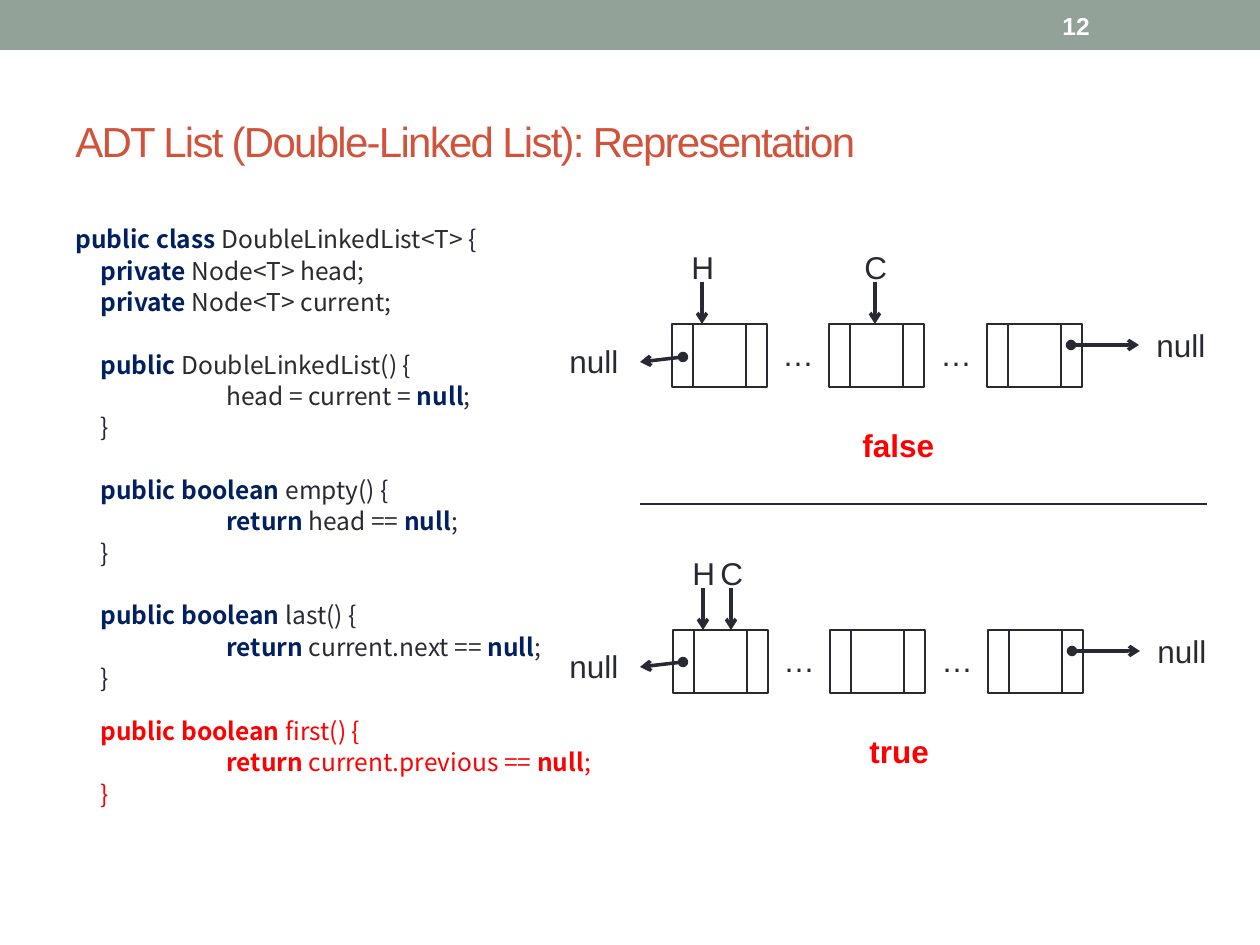
from lxml import etree
from pptx import Presentation
from pptx.dml.color import RGBColor
from pptx.enum.shapes import MSO_CONNECTOR, MSO_SHAPE
from pptx.enum.text import MSO_ANCHOR, MSO_AUTO_SIZE
from pptx.oxml.ns import qn
from pptx.util import Emu, Pt

RECTANGLE = MSO_SHAPE.RECTANGLE
STRAIGHT = MSO_CONNECTOR.STRAIGHT
TOP, MIDDLE = MSO_ANCHOR.TOP, MSO_ANCHOR.MIDDLE
FIT, NO_FIT = MSO_AUTO_SIZE.SHAPE_TO_FIT_TEXT, MSO_AUTO_SIZE.NONE

INK, NAVY, RED, WHITE = "292934", "002060", "FF0000", "FFFFFF"
BAND, RUST = "93A299", "D2533C"
SANS, CODE_FONT = "Arial", "Noto Sans CJK SC"

# Code blocks: gap before in points, keyword colour, plain colour, and lines
# of (indent level, spans); spans alternate plain, keyword, plain, ...
CODE = [
    (0, NAVY, INK, [
        (0, ["", "public class ", "DoubleLinkedList<T> {"]),
        (1, ["", "private", " Node<T> head;"]),
        (1, ["", "private", " Node<T> current;"])]),
    (20.7, NAVY, INK, [
        (1, ["", "public ", "DoubleLinkedList() {"]),
        (2, ["head = current = ", "null", ";"]),
        (1, ["}"])]),
    (20.7, NAVY, INK, [
        (1, ["", "public boolean", " empty() {"]),
        (2, ["", "return", " head == ", "null", ";"]),
        (1, ["}"])]),
    (20.7, NAVY, INK, [
        (1, ["", "public boolean", " last() {"]),
        (2, ["", "return ", "current.next == ", "null", ";"]),
        (1, ["}"])]),
    (15.1, RED, RED, [
        (1, ["", "public boolean", " first() {"]),
        (2, ["", "return ", "current.previous == ", "null", ";"]),
        (1, ["}"])]),
]
LEVEL_INDENTS = [0, 25, 151]
LINE_PITCH, LINE_GAP = 15.1, 2.8

# Lists: top left of the first node, y of the left null arrow,
# pointers (name, x from the first node), result (text, left, width)
LISTS = [
    (672, 324, 357, [("H", 30), ("C", 203)], ("false", 850, 98)),
    (673, 630, 662, [("H", 30), ("C", 58)], ("true", 857, 88)),
]
NODE_OFFSETS = [0, 157, 315]
LINK_WIDTH, DATA_WIDTH, NODE_HEIGHT = 21, 53, 63


def px(value):
    return Emu(round(value * 914400 / 126))


def color(hex_string):
    return RGBColor.from_string(hex_string)


def add_span(para, text, size, hex_string, bold=False, font=SANS):
    span = para.add_run()
    span.text = text
    span.font.name, span.font.size, span.font.bold = font, Pt(size), bold
    span.font.color.rgb = color(hex_string)
    return span


def add_box(page, left, top, width, height, anchor=TOP, wrap=True):
    box = page.shapes.add_textbox(px(left), px(top), px(width), px(height))
    frame = box.text_frame
    frame.word_wrap = wrap
    frame.auto_size = NO_FIT if wrap else FIT
    frame.vertical_anchor = anchor
    return frame


def add_label(page, text, left, top, width, hex_string=INK, bold=False):
    frame = add_box(page, left, top, width, 50, wrap=False)
    add_span(frame.paragraphs[0], text, 18, hex_string, bold)


def add_line(page, start, end, width=2, head=None, tail=None):
    line = page.shapes.add_connector(STRAIGHT, *map(px, start + end))
    line.line.width = Pt(width)
    line.line.color.rgb = color(INK)
    outline = line.line._get_or_add_ln()
    for tag, kind in (("a:headEnd", head), ("a:tailEnd", tail)):
        if kind:
            etree.SubElement(outline, qn(tag)).set("type", kind)
    etree.SubElement(line._element.spPr, qn("a:effectLst"))


def add_node(page, left, top):
    group = page.shapes.add_group_shape()
    for width in (LINK_WIDTH, DATA_WIDTH, LINK_WIDTH):
        cell = group.shapes.add_shape(
            RECTANGLE, px(left), px(top), px(width), px(NODE_HEIGHT))
        cell.shadow.inherit = False
        cell.fill.background()
        cell.line.color.rgb = color(INK)
        cell.line.width = Pt(0.75)
        left += width


def add_list(page, left, top, null_y, pointers, result):
    for offset in NODE_OFFSETS:
        add_node(page, left + offset, top)
    for offset in (98, 256):
        add_label(page, "…", left + offset, top + 5, 57)
    for name, offset in pointers:
        x = left + offset
        add_line(page, (x, top - 42), (x, top), tail="arrow")
        add_label(page, name, x - 23, top - 82, 49)
    add_line(page, (left + 399, top + 21), (left + 467, top + 21),
             head="oval", tail="arrow")
    add_label(page, "null", left + 472, top - 4, 83)
    add_line(page, (683, null_y), (640, null_y + 5), head="oval", tail="arrow")
    add_label(page, "null", 557, null_y - 21, 83)
    text, result_left, width = result
    add_label(page, text, result_left, top + 96, width, RED, bold=True)


def add_code(page):
    frame = add_box(page, 63, 221, 1134, 672)
    para = None
    for block_gap, keyword_color, plain_color, lines in CODE:
        for index, (level, spans) in enumerate(lines):
            para = frame.add_paragraph() if para else frame.paragraphs[0]
            para.line_spacing = Pt(LINE_PITCH)
            para.space_before = Pt(LINE_GAP if index else block_gap)
            para._p.get_or_add_pPr().set("marL", str(px(LEVEL_INDENTS[level])))
            for position, text in enumerate(spans):
                keyword = position % 2 == 1
                if text:
                    add_span(para, text, 14,
                             keyword_color if keyword else plain_color,
                             keyword, CODE_FONT)


def main():
    deck = Presentation()
    deck.slide_width, deck.slide_height = px(1260), px(945)
    page = deck.slides.add_slide(deck.slide_layouts[6])

    band = page.shapes.add_shape(RECTANGLE, 0, 0, px(1260), px(50))
    band.shadow.inherit = False
    band.fill.solid()
    band.fill.fore_color.rgb = color(BAND)
    band.line.fill.background()

    title = add_box(page, 63, 73, 1134, 136, MIDDLE)
    span = add_span(title.paragraphs[0],
                    "ADT List (Double-Linked List): Representation", 24, RUST)
    span.font._element.set("spc", "-100")
    number = add_box(page, 1050, 3, 147, 45, MIDDLE)
    add_span(number.paragraphs[0], "12", 14, WHITE, bold=True)

    add_code(page)
    for linked_list in LISTS:
        add_list(page, *linked_list)
    add_line(page, (640, 504), (1207, 504), width=0.75)
    deck.save("out.pptx")


if __name__ == "__main__":
    main()
